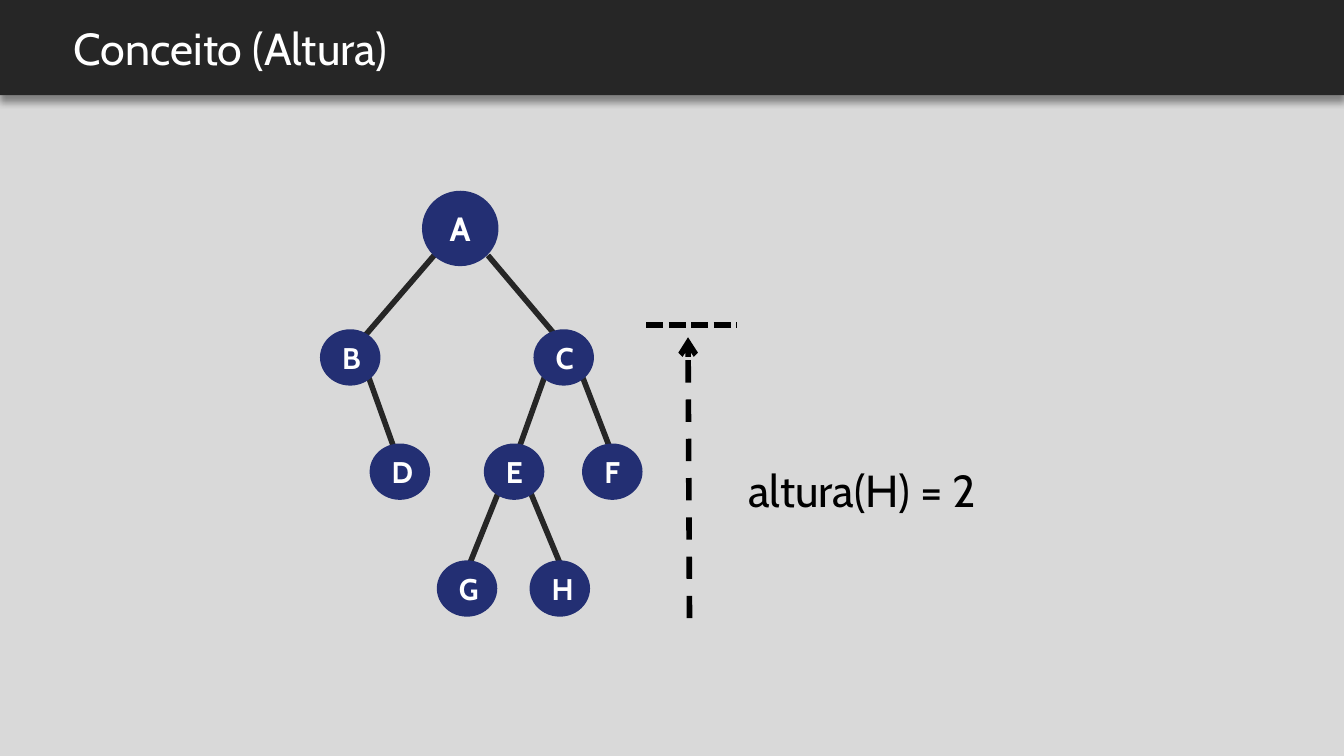
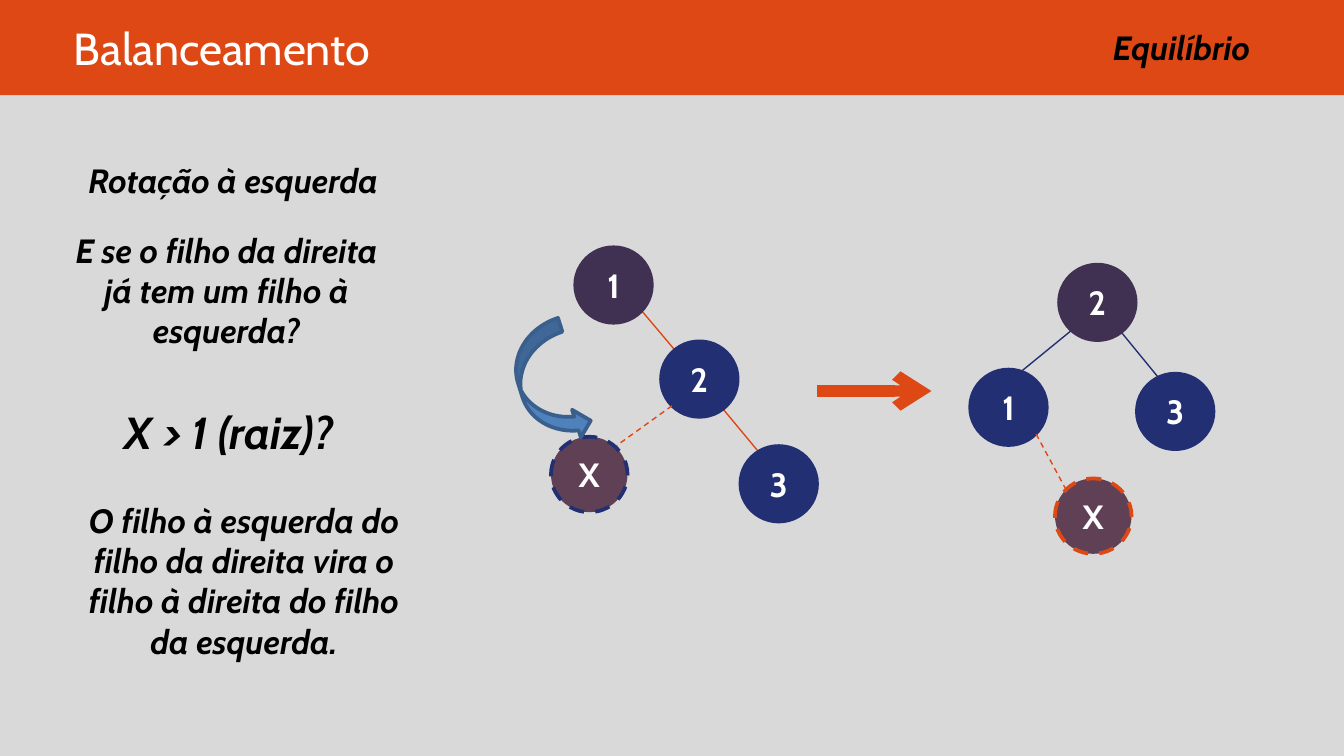
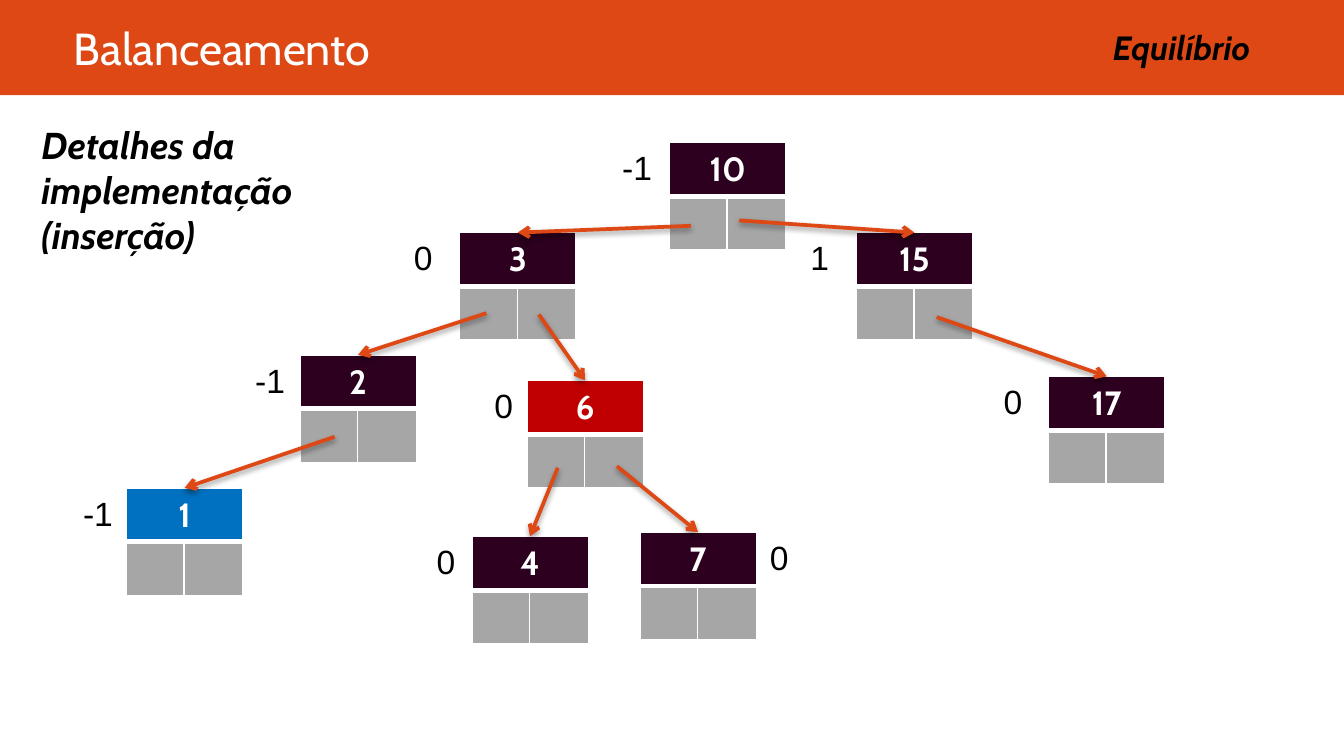
from dataclasses import dataclass
from typing import Optional, Union

from lxml.etree import SubElement
from pptx import Presentation
from pptx.dml.color import RGBColor
from pptx.enum.dml import MSO_LINE
from pptx.enum.shapes import MSO_CONNECTOR, MSO_SHAPE
from pptx.enum.text import MSO_ANCHOR, MSO_AUTO_SIZE, PP_ALIGN
from pptx.oxml import parse_xml
from pptx.oxml.ns import nsdecls, qn
from pptx.presentation import Presentation as Deck
from pptx.shapes.shapetree import GroupShapes, SlideShapes
from pptx.slide import Slide
from pptx.table import _Cell
from pptx.text.text import TextFrame
from pptx.util import Pt

Shapes = Union[SlideShapes, GroupShapes]
Point = tuple[float, float]


@dataclass(frozen=True)
class Theme:
    """Colours, fonts, type sizes and shared measures, in points."""
    page: Point = (720, 405)
    band_height: float = 51
    font: str = "Cabin"
    balance_font: str = "Arial"
    title_size: float = 24
    detail_size: float = 20
    body_size: float = 18
    node_size: float = 16
    black: str = "000000"
    white: str = "FFFFFF"
    grey_page: str = "D9D9D9"
    charcoal: str = "262626"
    orange: str = "DD4814"
    navy: str = "232F73"
    purple: str = "403152"
    aubergine: str = "2C001E"
    pointer: str = "A6A6A6"
    red: str = "C00000"
    blue: str = "0070C0"
    turn_fill: str = "4F81BD"
    turn_line: str = "3A5F8C"


THEME = Theme()


@dataclass(frozen=True)
class Shadow:
    """A downward shadow."""
    opacity: int
    blur: float
    distance: float


@dataclass(frozen=True)
class Node:
    """A round tree node."""
    label: str
    left: float
    top: float
    width: float = 41
    height: float = 40.4
    size: float = THEME.body_size
    fill: str = THEME.navy
    opacity: int = 100
    outline: Optional[str] = None
    dashed: bool = False


@dataclass(frozen=True)
class Edge:
    """A straight line between two points."""
    start: Point
    end: Point
    color: str = THEME.orange
    width: float = 0.75
    dash: Optional[MSO_LINE] = None
    arrow: bool = False
    shadow: Optional[Shadow] = None


@dataclass(frozen=True)
class Note:
    """A free-standing text."""
    text: str
    left: float
    top: float
    width: float
    height: float
    size: float = THEME.body_size
    font: str = THEME.font
    bold: bool = True
    italic: bool = True
    align: PP_ALIGN = PP_ALIGN.CENTER
    wrap: bool = True
    framed: bool = False


@dataclass(frozen=True)
class Record:
    """A key with two pointers, its balance and the link that reaches it."""
    key: str
    left: float
    top: float
    balance: str
    balance_left: float
    link_start: Optional[Point] = None
    fill: str = THEME.aubergine


POINTER_WIDTHS = (31, 31.5)
RECORD_ROW = 28.8
BAND_SHADOW = Shadow(40, 4, 3)
LINK_SHADOW = Shadow(38, 3.1, 1.6)


def letter_node(label: str, left: float, top: float) -> Node:
    """Return a small node of the height tree."""
    return Node(label, left, top, 32.4, 30.2, THEME.node_size)


HEIGHT_NODES = [
    Node("A", 226.1, 102.2),
    letter_node("C", 285.8, 176.4),
    letter_node("B", 171.4, 176.4),
    letter_node("E", 259.2, 237.6),
    letter_node("D", 198, 237.6),
    letter_node("F", 311.8, 237.6),
    letter_node("G", 234, 300.2),
    letter_node("H", 283.7, 300.2),
]
HEIGHT_BRANCHES = [
    ((232.6, 136.8), (188.6, 187.9)),
    ((261.4, 136.8), (304.6, 187.9)),
    ((295.2, 192.2), (274.3, 250.6)),
    ((308.9, 193.7), (330.5, 249.8)),
    ((193.7, 191.5), (214.6, 249.8)),
    ((270, 256.3), (247.7, 311.8)),
    ((280.8, 255.6), (303.8, 311)),
]
HEIGHT_MARKS = [
    Edge((369.4, 331.2), (368.6, 180.7), THEME.black, 3, MSO_LINE.DASH, True),
    Edge((346.3, 174.2), (394.6, 174.2), THEME.black, 3, MSO_LINE.SQUARE_DOT),
]
HEIGHT_NOTE = Note("altura(H) = 2", 393.8, 243.4, 166.3, 37.4, THEME.title_size,
                   bold=False, italic=False, align=PP_ALIGN.LEFT, framed=True)

BEFORE_EDGES = [
    Edge((344.2, 167), (387.4, 218.2)),
    Edge((365, 192.2), (407.5, 243.4)),
]
BEFORE_NODES = [
    Node("1", 308.2, 132.5, fill=THEME.purple, outline=THEME.purple),
    Node("2", 354.2, 182.9, outline=THEME.navy),
    Node("3", 396.7, 239, outline=THEME.navy),
]
AFTER_EDGES = [
    Edge((537.8, 206.6), (589.7, 164.2), THEME.navy),
    Edge((578.2, 150.5), (620.6, 202.3), THEME.navy),
]
AFTER_NODES = [
    Node("1", 519.8, 198, outline=THEME.navy),
    Node("2", 567.4, 141.8, fill=THEME.purple, outline=THEME.purple),
    Node("3", 609.1, 200.2, outline=THEME.navy),
]
MOVED_EDGES = [
    Edge((437.8, 209.5), (499, 209.5), width=6, arrow=True),
    Edge((360, 217.4), (330.5, 238.6), dash=MSO_LINE.DASH),
    Edge((555.1, 232.6), (571, 262.1), dash=MSO_LINE.DASH),
]
MOVED_NODES = [
    Node("X", 295.2, 234, fill=THEME.aubergine, opacity=70,
         outline=THEME.navy, dashed=True),
    Node("X", 565.2, 256.3, fill=THEME.aubergine, opacity=70,
         outline=THEME.orange, dashed=True),
]
ROTATION_NOTES = [
    Note("Rotação à esquerda", 31, 82.1, 188, 28.8),
    Note("E se o filho da direita já tem um filho à esquerda?",
         27.4, 119.5, 188, 72),
    Note("X > 1 (raiz)?", 28.8, 213.1, 188, 36, THEME.title_size),
    Note("O filho à esquerda do filho da direita vira o filho à direita "
         "do filho da esquerda.", 36.7, 264.2, 188, 93.6),
]

TOPIC_NOTE = Note("Equilíbrio", 488.9, 10.8, 188, 28.8, align=PP_ALIGN.RIGHT)
INSERTION_NOTE = Note("Detalhes da implementação\n(inserção)", 15.1, 69.1, 216, 64.8,
                      THEME.detail_size, align=PP_ALIGN.LEFT, framed=True)
RECORDS = [
    Record("10", 358.6, 76.3, "-1", 326.2),
    Record("3", 246.2, 124.6, "0", 214.6, (370.1, 121)),
    Record("15", 458.6, 124.6, "1", 427, (396, 118.1)),
    Record("2", 160.6, 190.1, "-1", 129.6, (260.6, 167.8)),
    Record("6", 282.2, 203.8, "0", 257.8, (288.7, 168.5), THEME.red),
    Record("17", 561.6, 201.6, "0", 530.6, (501.8, 169.9)),
    Record("1", 67.7, 261.4, "-1", 37.4, (179.3, 234), THEME.blue),
    Record("4", 252.7, 287.3, "0", 226.8, (298.8, 250.6)),
    Record("7", 342.7, 285.1, "0", 405.4, (330.5, 249.8)),
]


def write(frame: TextFrame, text: str, *, size: float = THEME.body_size,
          color: str = THEME.white, font: str = THEME.font, bold: bool = False,
          italic: bool = False, align: PP_ALIGN = PP_ALIGN.CENTER) -> None:
    """Fill a text frame with formatted text, one paragraph per line."""
    frame.text = text
    for paragraph in frame.paragraphs:
        paragraph.alignment = align
        for run in paragraph.runs:
            run.font.name = font
            run.font.size = Pt(size)
            run.font.bold = bold
            run.font.italic = italic
            run.font.color.rgb = RGBColor.from_string(color)


def pad_and_centre(frame: TextFrame) -> None:
    """Give a frame equal margins and centre its text vertically."""
    frame.margin_left = frame.margin_right = Pt(7.2)
    frame.margin_top = frame.margin_bottom = Pt(7.2)
    frame.vertical_anchor = MSO_ANCHOR.MIDDLE
    frame.auto_size = MSO_AUTO_SIZE.NONE


def set_shadow(shape, shadow: Optional[Shadow]) -> None:
    """Replace the inherited shadow with the given one, or with none."""
    effects = SubElement(shape._element.spPr, qn("a:effectLst"))
    if shadow:
        outer = SubElement(effects, qn("a:outerShdw"), blurRad=str(Pt(shadow.blur)),
                           dist=str(Pt(shadow.distance)), dir="5400000",
                           rotWithShape="0")
        color = SubElement(outer, qn("a:srgbClr"), val=THEME.black)
        SubElement(color, qn("a:alpha"), val=str(shadow.opacity * 1000))


def draw_shape(shapes: Shapes, kind: MSO_SHAPE, left: float, top: float, width: float,
               height: float, fill: str, outline: Optional[str] = None,
               shadow: Optional[Shadow] = None):
    """Draw a filled preset shape."""
    shape = shapes.add_shape(kind, Pt(left), Pt(top), Pt(width), Pt(height))
    shape.fill.solid()
    shape.fill.fore_color.rgb = RGBColor.from_string(fill)
    if outline:
        shape.line.color.rgb = RGBColor.from_string(outline)
        shape.line.width = Pt(2)
    else:
        shape.line.fill.background()
    set_shadow(shape, shadow)
    return shape


def draw_node(shapes: Shapes, node: Node) -> None:
    """Draw a round node with its label."""
    circle = draw_shape(shapes, MSO_SHAPE.OVAL, node.left, node.top, node.width,
                        node.height, node.fill, node.outline)
    if node.opacity < 100:
        color = circle._element.spPr.find(qn("a:solidFill")).find(qn("a:srgbClr"))
        SubElement(color, qn("a:alpha"), val=str(node.opacity * 1000))
    if node.dashed:
        circle.line.dash_style = MSO_LINE.DASH
    write(circle.text_frame, node.label, size=node.size, bold=True)


def draw_edge(shapes: Shapes, edge: Edge) -> None:
    """Draw a line or an arrow."""
    ends = [Pt(value) for value in (*edge.start, *edge.end)]
    connector = shapes.add_connector(MSO_CONNECTOR.STRAIGHT, *ends)
    connector.line.color.rgb = RGBColor.from_string(edge.color)
    connector.line.width = Pt(edge.width)
    if edge.dash:
        connector.line.dash_style = edge.dash
    if edge.arrow:
        SubElement(connector.line._get_or_add_ln(), qn("a:tailEnd"), type="arrow")
    set_shadow(connector, edge.shadow)


def draw_tree(shapes: Shapes, edges: list[Edge], nodes: list[Node]) -> None:
    """Draw edges with the nodes in front of them."""
    for edge in edges:
        draw_edge(shapes, edge)
    for node in nodes:
        draw_node(shapes, node)


def draw_note(shapes: Shapes, note: Note) -> None:
    """Draw a text box."""
    box = shapes.add_textbox(Pt(note.left), Pt(note.top), Pt(note.width), Pt(note.height))
    frame = box.text_frame
    frame.word_wrap = note.wrap
    if note.framed:
        pad_and_centre(frame)
    else:
        frame.auto_size = MSO_AUTO_SIZE.SHAPE_TO_FIT_TEXT
    write(frame, note.text, size=note.size, color=THEME.black, font=note.font,
          bold=note.bold, italic=note.italic, align=note.align)


def style_cell(cell: _Cell, fill: str, top: float, bottom: float) -> None:
    """Fill a cell and give it white borders."""
    widths = {"lnL": 1, "lnR": 1, "lnT": top, "lnB": bottom}
    properties = cell._tc.get_or_add_tcPr()
    for index, (side, width) in enumerate(widths.items()):
        properties.insert(index, parse_xml(
            f'<a:{side} {nsdecls("a")} w="{Pt(width)}"><a:solidFill>'
            f'<a:srgbClr val="{THEME.white}"/></a:solidFill></a:{side}>'))
    cell.fill.solid()
    cell.fill.fore_color.rgb = RGBColor.from_string(fill)


def draw_record(shapes: Shapes, record: Record) -> None:
    """Draw a record as a key above two pointer cells."""
    table = shapes.add_table(2, 2, Pt(record.left), Pt(record.top),
                             Pt(sum(POINTER_WIDTHS)), Pt(2 * RECORD_ROW)).table
    table.first_row = table.horz_banding = False
    for index, width in enumerate(POINTER_WIDTHS):
        table.columns[index].width = Pt(width)
        table.rows[index].height = Pt(RECORD_ROW)
        style_cell(table.cell(0, index), record.fill, 1, 3)
        style_cell(table.cell(1, index), THEME.pointer, 3, 1)
    key = table.cell(0, 0)
    key.merge(table.cell(0, 1))
    write(key.text_frame, record.key, bold=True)


def draw_link(shapes: Shapes, record: Record) -> None:
    """Draw the arrow that ends at the top centre of a record."""
    if record.link_start:
        end = (record.left + sum(POINTER_WIDTHS) / 2, record.top)
        draw_edge(shapes, Edge(record.link_start, end, width=2, arrow=True,
                               shadow=LINK_SHADOW))


def draw_balance(shapes: Shapes, record: Record) -> None:
    """Draw the balance factor beside a record."""
    width = 25.9 if record.balance == "0" else 32.4
    draw_note(shapes, Note(record.balance, record.balance_left, record.top - 1, width,
                           RECORD_ROW, font=THEME.balance_font, bold=False,
                           italic=False, align=PP_ALIGN.LEFT, wrap=False))


def start_slide(deck: Deck, title: str, page: str, band: str,
                shadow: Optional[Shadow] = None) -> Slide:
    """Add a slide with its background, band and title."""
    slide = deck.slides.add_slide(deck.slide_layouts[5])
    slide.background.fill.solid()
    slide.background.fill.fore_color.rgb = RGBColor.from_string(page)
    draw_shape(slide.shapes, MSO_SHAPE.RECTANGLE, 0, 0, THEME.page[0],
               THEME.band_height, band, shadow=shadow)
    heading = slide.shapes.title
    slide.shapes._spTree.append(heading._element)
    heading.left, heading.top = Pt(32.4), Pt(0)
    heading.width, heading.height = Pt(651.6), Pt(THEME.band_height)
    pad_and_centre(heading.text_frame)
    write(heading.text_frame, title, size=THEME.title_size, align=PP_ALIGN.LEFT)
    return slide


def start_balance_slide(deck: Deck, page: str) -> Slide:
    """Add a slide of the balancing section."""
    slide = start_slide(deck, "Balanceamento", page, THEME.orange)
    draw_note(slide.shapes, TOPIC_NOTE)
    return slide


def add_height_slide(deck: Deck) -> None:
    """Add the slide on the height of a node."""
    shapes = start_slide(deck, "Conceito (Altura)", THEME.grey_page, THEME.charcoal,
                         BAND_SHADOW).shapes
    branches = [Edge(start, end, THEME.charcoal, 3) for start, end in HEIGHT_BRANCHES]
    draw_tree(shapes, HEIGHT_MARKS + branches, HEIGHT_NODES)
    draw_note(shapes, HEIGHT_NOTE)


def add_rotation_slide(deck: Deck) -> None:
    """Add the slide on the left rotation."""
    shapes = start_balance_slide(deck, THEME.grey_page).shapes
    draw_tree(shapes.add_group_shape().shapes, BEFORE_EDGES, BEFORE_NODES)
    draw_tree(shapes.add_group_shape().shapes, AFTER_EDGES, AFTER_NODES)
    draw_tree(shapes, MOVED_EDGES, MOVED_NODES)
    for note in ROTATION_NOTES:
        draw_note(shapes, note)
    turn = draw_shape(shapes, MSO_SHAPE.CURVED_RIGHT_ARROW, 278.6, 173.5, 31, 65.5,
                      THEME.turn_fill, THEME.turn_line)
    turn.rotation = 342.3


def add_insertion_slide(deck: Deck) -> None:
    """Add the slide on the insertion of records."""
    shapes = start_balance_slide(deck, THEME.white).shapes
    for draw in (draw_record, draw_link, draw_balance):
        for record in RECORDS:
            draw(shapes, record)
    draw_note(shapes, INSERTION_NOTE)


def main() -> None:
    """Build and save the presentation."""
    deck = Presentation()
    deck.slide_width, deck.slide_height = (Pt(side) for side in THEME.page)
    add_height_slide(deck)
    add_rotation_slide(deck)
    add_insertion_slide(deck)
    deck.save("out.pptx")


if __name__ == "__main__":
    main()
